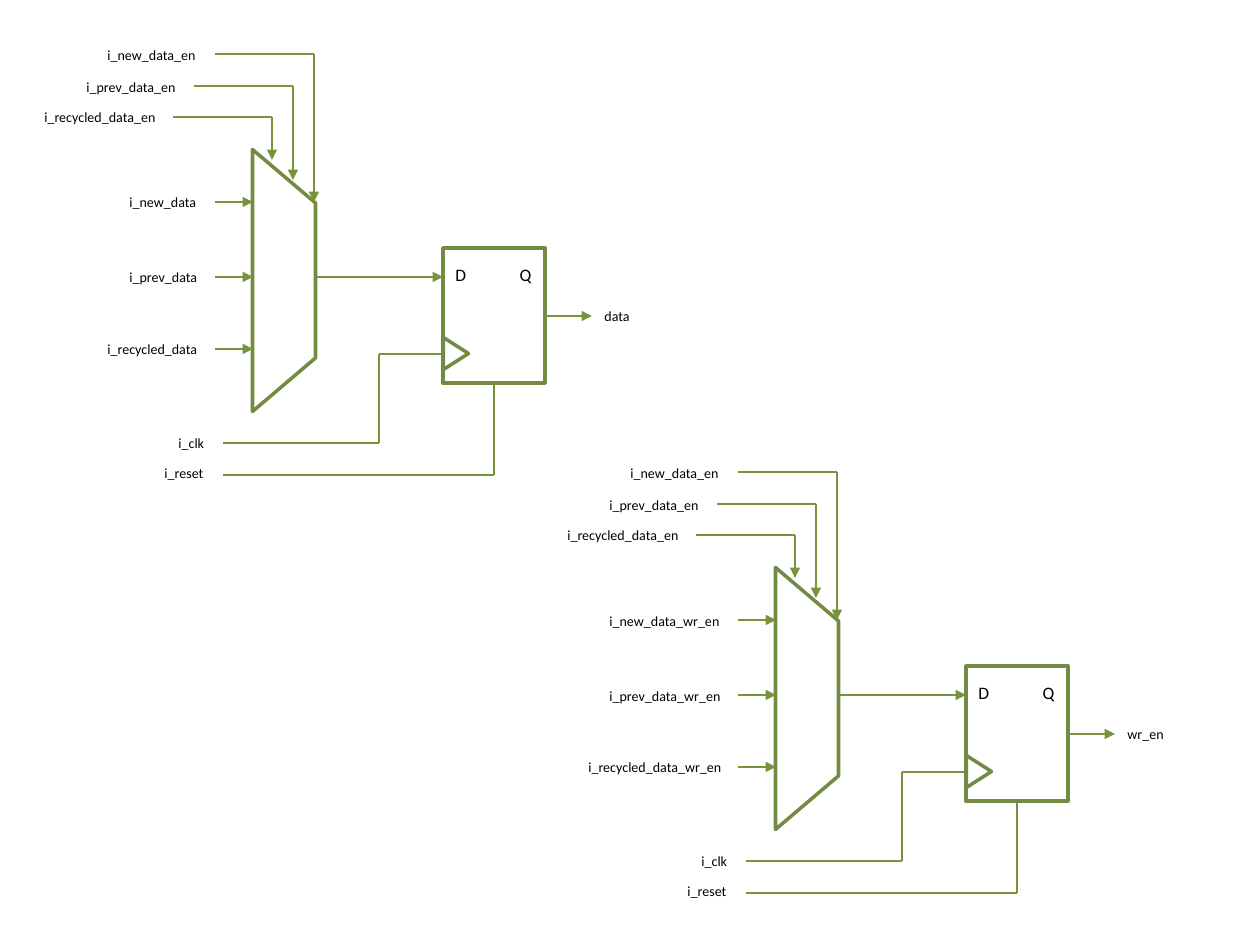
from lxml import etree
from pptx import Presentation, util as u
from pptx.dml.color import RGBColor
from pptx.enum import shapes, text
from pptx.oxml.ns import qn

SCALE = 914400 / 126
OUTLINE, WIRE, INK = "738A42", "77933C", "000000"
FONT = "Calibri"
LABEL_HEIGHT = 30

# Each signal: name, label width, label rise above its wire
ENABLES = [("i_new_data_en", 120, 14), ("i_prev_data_en", 120, 14),
           ("i_recycled_data_en", 141, 15)]
CONTROLS = [("i_clk", 57, 15), ("i_reset", 71, 17)]
CIRCUITS = [
    {"origin": (0, 0), "output": "data",
     "inputs": [("i_new_data", 98, 15), ("i_prev_data", 98, 15),
                ("i_recycled_data", 120, 15)]},
    {"origin": (523, 418), "output": "wr_en",
     "inputs": [("i_new_data_wr_en", 141, 14), ("i_prev_data_wr_en", 141, 14),
                ("i_recycled_data_wr_en", 162, 15)]},
]

ENABLE_ROWS = [(54, 202), (86, 180), (117, 160)]
ENABLE_STEP = 21
INPUT_ROWS = [202, 277, 349]
WIRE_START, MUX_LEFT, MUX_RIGHT = 215, 253, 316
FLOP = (443, 248, 102, 135)
OUTPUT_ROW, OUTPUT_END = 316, 592
CONTROL_START = 223
CONTROL_PATHS = [
    [(CONTROL_START, 443), (379, 443), (379, 354), (442, 354)],
    [(CONTROL_START, 475), (494, 475), (494, 385)],
]


def px(value):
    return u.Emu(round(value * SCALE))


def color(value):
    return RGBColor.from_string(value)


def apply(target, **values):
    for name, value in values.items():
        setattr(target, name, value)


def write(para, words, size):
    span = para.add_run()
    span.text = words
    apply(span.font, name=FONT, size=u.Pt(size))
    span.font.color.rgb = color(INK)


class Circuit:
    def __init__(self, page, origin):
        self.page = page
        self.left, self.top = origin

    def place(self, x, y):
        return px(self.left + x), px(self.top + y)

    def shape(self, kind, x, y, width, height, rotation=0):
        box = self.page.shapes.add_shape(
            kind, *self.place(x, y), px(width), px(height))
        apply(box, rotation=rotation)
        box.shadow.inherit = False
        box.fill.background()
        box.line.color.rgb = color(OUTLINE)
        box.line.width = u.Pt(2)
        return box

    def wire(self, points, arrow=False):
        last = len(points) - 2
        for index, (start, end) in enumerate(zip(points, points[1:])):
            line = self.page.shapes.add_connector(
                shapes.MSO_CONNECTOR.STRAIGHT, *self.place(*start), *self.place(*end))
            line.line.color.rgb = color(WIRE)
            line.line.width = u.Pt(1.5)
            if arrow and index == last:
                etree.SubElement(line.line._get_or_add_ln(), qn("a:tailEnd"), type="triangle")
            etree.SubElement(line._element.spPr, qn("a:effectLst"))

    def label(self, words, x, y, width):
        box = self.page.shapes.add_textbox(
            *self.place(x, y), px(width), px(LABEL_HEIGHT))
        apply(box.text_frame, word_wrap=True,
              auto_size=text.MSO_AUTO_SIZE.SHAPE_TO_FIT_TEXT)
        write(box.text_frame.paragraphs[0], words, 8)

    def signal(self, source, points, arrow=False):
        words, width, rise = source
        x, y = points[0]
        self.wire(points, arrow)
        self.label(words, x - width, y - rise, width)

    def flop(self):
        box = self.shape(shapes.MSO_SHAPE.RECTANGLE, *FLOP)
        apply(box.text_frame, word_wrap=True, margin_top=px(16),
              vertical_anchor=text.MSO_ANCHOR.TOP)
        para = box.text_frame.paragraphs[0]
        para.alignment = text.PP_ALIGN.LEFT
        stops = etree.SubElement(para._p.get_or_add_pPr(), qn("a:tabLst"))
        etree.SubElement(stops, qn("a:tab"), pos=str(px(76)), algn="r")
        write(para, "D\tQ", 10)
        self.shape(shapes.MSO_SHAPE.ISOSCELES_TRIANGLE, 440, 341, 32, 25, 90)

    def draw(self, inputs, output):
        mux = self.shape(shapes.MSO_SHAPE.TRAPEZOID, 153, 249, 262, 63, 90)
        mux.adjustments[0] = 0.85
        self.flop()
        for source, y in zip(inputs, INPUT_ROWS):
            self.signal(source, [(WIRE_START, y), (MUX_LEFT, y)], True)
        for index, (source, (y, end)) in enumerate(zip(ENABLES, ENABLE_ROWS)):
            shift = ENABLE_STEP * index
            turn = 314 - shift
            self.signal(source, [(WIRE_START - shift, y), (turn, y), (turn, end)], True)
        for source, points in zip(CONTROLS, CONTROL_PATHS):
            self.signal(source, points)
        middle = INPUT_ROWS[1]
        self.wire([(MUX_RIGHT, middle), (FLOP[0], middle)], True)
        self.wire([(FLOP[0] + FLOP[2], OUTPUT_ROW), (OUTPUT_END, OUTPUT_ROW)], True)
        self.label(output, OUTPUT_END, OUTPUT_ROW - 15, 120)


def main():
    deck = Presentation()
    apply(deck, slide_width=px(1260), slide_height=px(945))
    page = deck.slides.add_slide(deck.slide_layouts[6])
    for circuit in CIRCUITS:
        Circuit(page, circuit["origin"]).draw(circuit["inputs"], circuit["output"])
    deck.save("out.pptx")


if __name__ == "__main__":
    main()
